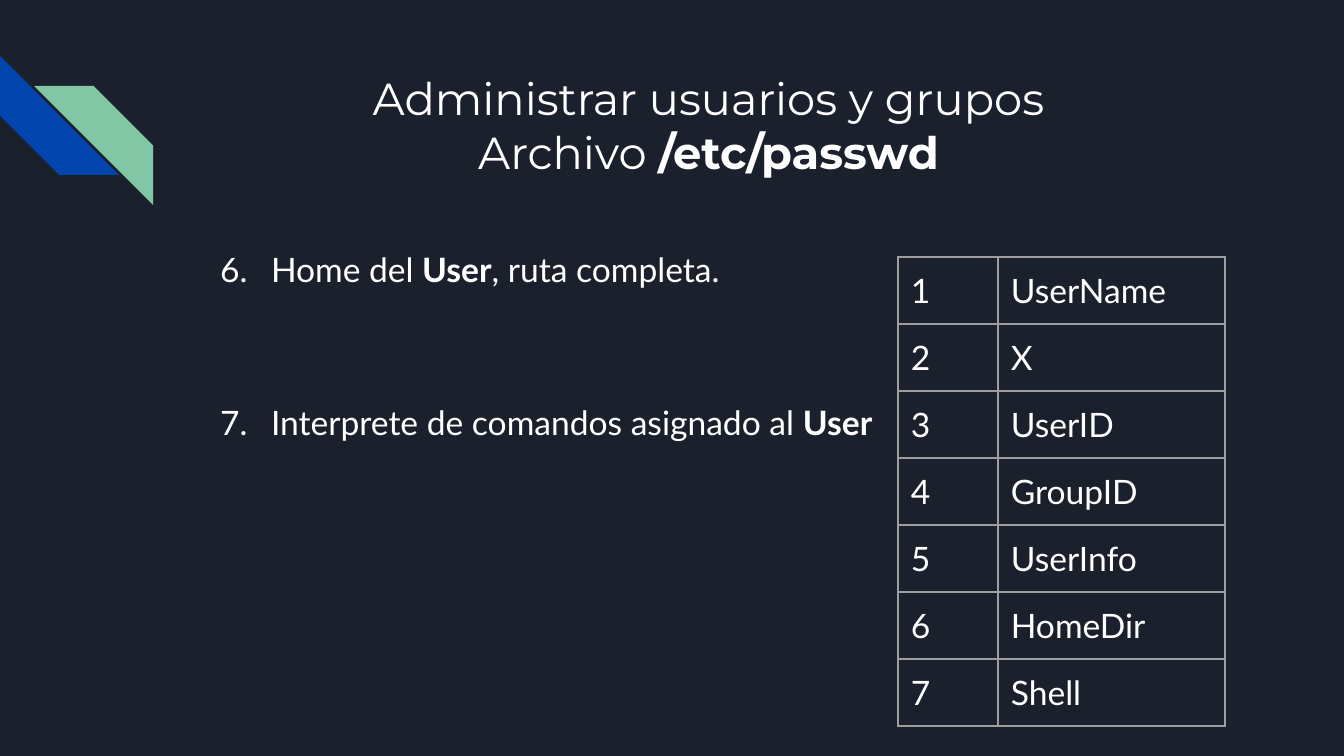
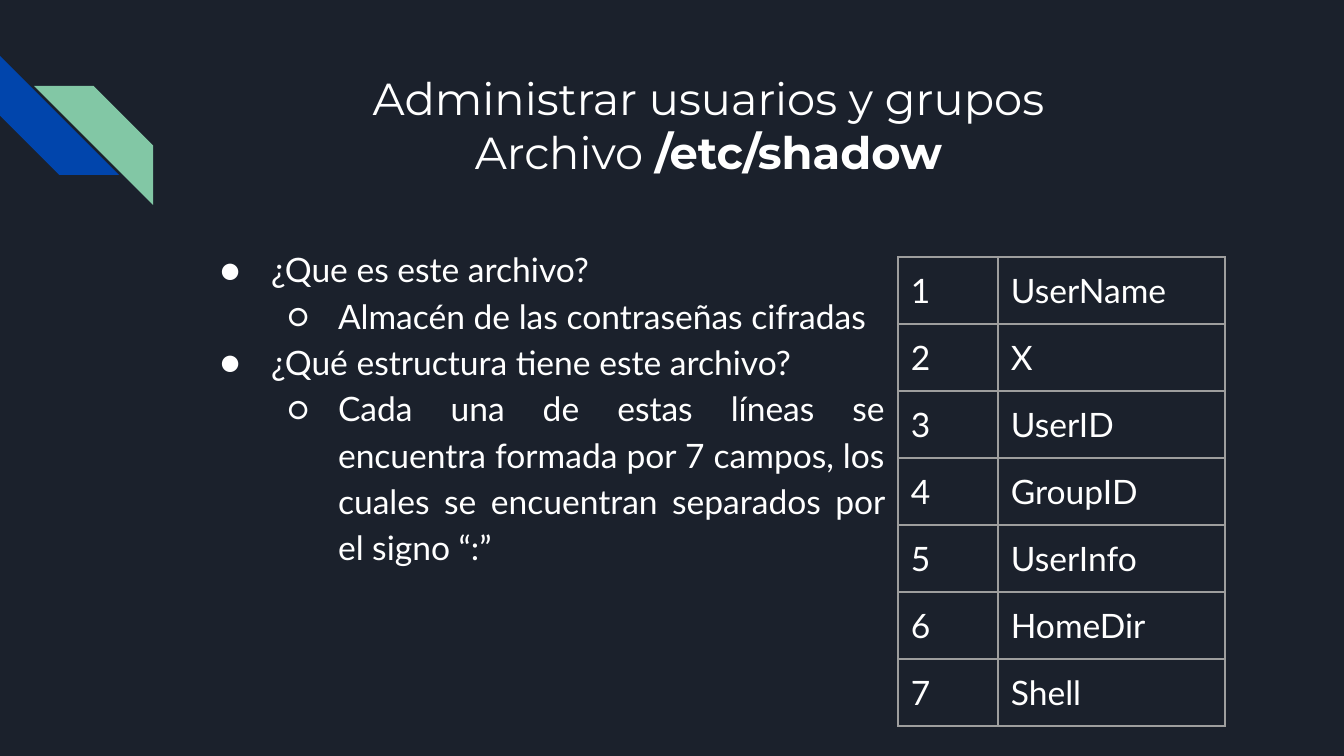
from lxml import etree
from pptx import Presentation
from pptx.dml.color import RGBColor
from pptx.enum.shapes import MSO_SHAPE
from pptx.enum.text import PP_ALIGN
from pptx.oxml.ns import qn
from pptx.util import Pt

PX = 914400 / 134.4
STRIPE = MSO_SHAPE.DIAGONAL_STRIPE
LEFT, CENTER, JUSTIFY = PP_ALIGN.LEFT, PP_ALIGN.CENTER, PP_ALIGN.JUSTIFY

NAVY = RGBColor(0x1B, 0x21, 0x2C)
BLUE = RGBColor(0x01, 0x45, 0xAC)
GREEN = RGBColor(0x82, 0xC7, 0xA5)
WHITE = RGBColor(0xFF, 0xFF, 0xFF)
GRAY = RGBColor(0x9E, 0x9E, 0x9E)
TITLE_FONT, BODY_FONT = "Montserrat", "Lato"
TITLE_SIZE, BODY_SIZE = 24, 18

# Content: runs are (text, bold); items are (level, marker, align, space before, runs)
HEADING = "Administrar usuarios y grupos"
FIELDS = ["UserName", "X", "UserID", "GroupID", "UserInfo", "HomeDir", "Shell"]
FIRST_NUMBER = 6
NUMBER, DOT, RING = "arabicPeriod", "●", "○"
SLIDES = [
    ("/etc/passwd", [
        (0, NUMBER, LEFT, 0,
         [("Home del ", False), ("User", True), (", ruta completa.", False)]),
        (0, NUMBER, LEFT, 57,
         [("Interprete de comandos asignado al ", False), ("User", True)]),
    ]),
    ("/etc/shadow", [
        (0, DOT, LEFT, 0, [("¿Que es este archivo?", False)]),
        (1, RING, LEFT, 0, [("Almacén de las contraseñas cifradas", False)]),
        (0, DOT, LEFT, 0, [("¿Qué estructura tiene este archivo?", False)]),
        (1, RING, JUSTIFY, 0,
         [("Cada una de estas líneas se encuentra formada por 7 campos, los "
           "cuales se encuentran separados por el signo “:”", False)]),
    ]),
]

# Layout, in px
SLIDE_W, SLIDE_H = 1344, 756
INSET = 13
STRIPE_SIDE = 119
STRIPES = [(0, 56, 270, BLUE), (34, 86, 90, GREEN)]
TITLE_BOX = (191, 58, 1035, 134)
BODY_BOX = (191, 230, 707, 526)
TABLE_LEFT, TABLE_TOP, ROW_H = 898, 257, 67
COLUMNS = [100, 227]
INDENT, HANGING = 67, 51


def px(n):
    return round(n * PX)


def add_run(p, text, font, size, bold=False):
    r = p.add_run()
    r.text = text
    r.font.name, r.font.size, r.font.bold = font, Pt(size), bold
    r.font.color.rgb = WHITE


def add_text_box(s, box):
    tf = s.shapes.add_textbox(*map(px, box)).text_frame
    tf.word_wrap = True
    tf.margin_left = tf.margin_right = tf.margin_top = tf.margin_bottom = px(INSET)
    return tf


def paragraphs(tf, items):
    for i, item in enumerate(items):
        yield (tf.add_paragraph() if i else tf.paragraphs[0]), item


def add_color(parent, tag, color):
    holder = etree.SubElement(parent, qn(tag))
    etree.SubElement(holder, qn("a:srgbClr"), val=str(color))


def set_marker(p, level, marker):
    pPr = p._p.get_or_add_pPr()
    pPr.set("marL", str(px(INDENT * (level + 1))))
    pPr.set("indent", str(px(-HANGING)))
    add_color(pPr, "a:buClr", WHITE)
    etree.SubElement(pPr, qn("a:buFont"), typeface=BODY_FONT)
    if marker == NUMBER:
        etree.SubElement(pPr, qn("a:buAutoNum"), type=NUMBER, startAt=str(FIRST_NUMBER))
    else:
        etree.SubElement(pPr, qn("a:buChar"), char=marker)


def set_borders(cell):
    tcPr = cell._tc.get_or_add_tcPr()
    for i, side in enumerate(("a:lnL", "a:lnR", "a:lnT", "a:lnB")):
        ln = etree.Element(qn(side), w=str(Pt(0.75)))
        add_color(ln, "a:solidFill", GRAY)
        tcPr.insert(i, ln)


def add_base(prs, filename):
    """Slide with background, corner stripes and title."""
    s = prs.slides.add_slide(prs.slide_layouts[6])
    s.background.fill.solid()
    s.background.fill.fore_color.rgb = NAVY
    for x, y, angle, color in STRIPES:
        sp = s.shapes.add_shape(STRIPE, px(x), px(y), px(STRIPE_SIDE), px(STRIPE_SIDE))
        sp.rotation = angle
        sp.shadow.inherit = False
        sp.fill.solid()
        sp.fill.fore_color.rgb = color
        sp.line.fill.background()
    lines = [[(HEADING, False)], [("Archivo ", False), (filename, True)]]
    for p, runs in paragraphs(add_text_box(s, TITLE_BOX), lines):
        p.alignment = CENTER
        for text, bold in runs:
            add_run(p, text, TITLE_FONT, TITLE_SIZE, bold)
    return s


def add_body(s, items):
    for p, item in paragraphs(add_text_box(s, BODY_BOX), items):
        level, marker, align, before, runs = item
        p.level, p.alignment = level, align
        p.line_spacing, p.space_before = 1.15, Pt(before)
        set_marker(p, level, marker)
        for text, bold in runs:
            add_run(p, text, BODY_FONT, BODY_SIZE, bold)


def add_field_table(s):
    table = s.shapes.add_table(
        len(FIELDS), len(COLUMNS), px(TABLE_LEFT), px(TABLE_TOP),
        px(sum(COLUMNS)), px(ROW_H * len(FIELDS))).table
    table.first_row = table.horz_banding = False
    for column, width in zip(table.columns, COLUMNS):
        column.width = px(width)
    for i, field in enumerate(FIELDS):
        table.rows[i].height = px(ROW_H)
        for cell, text in zip(table.rows[i].cells, (str(i + 1), field)):
            cell.margin_left = cell.margin_right = px(INSET)
            cell.margin_top = cell.margin_bottom = px(INSET)
            cell.fill.background()
            set_borders(cell)
            add_run(cell.text_frame.paragraphs[0], text, BODY_FONT, BODY_SIZE)


def main():
    prs = Presentation()
    prs.slide_width, prs.slide_height = px(SLIDE_W), px(SLIDE_H)
    for filename, items in SLIDES:
        s = add_base(prs, filename)
        add_body(s, items)
        add_field_table(s)
    prs.save("out.pptx")


if __name__ == "__main__":
    main()
